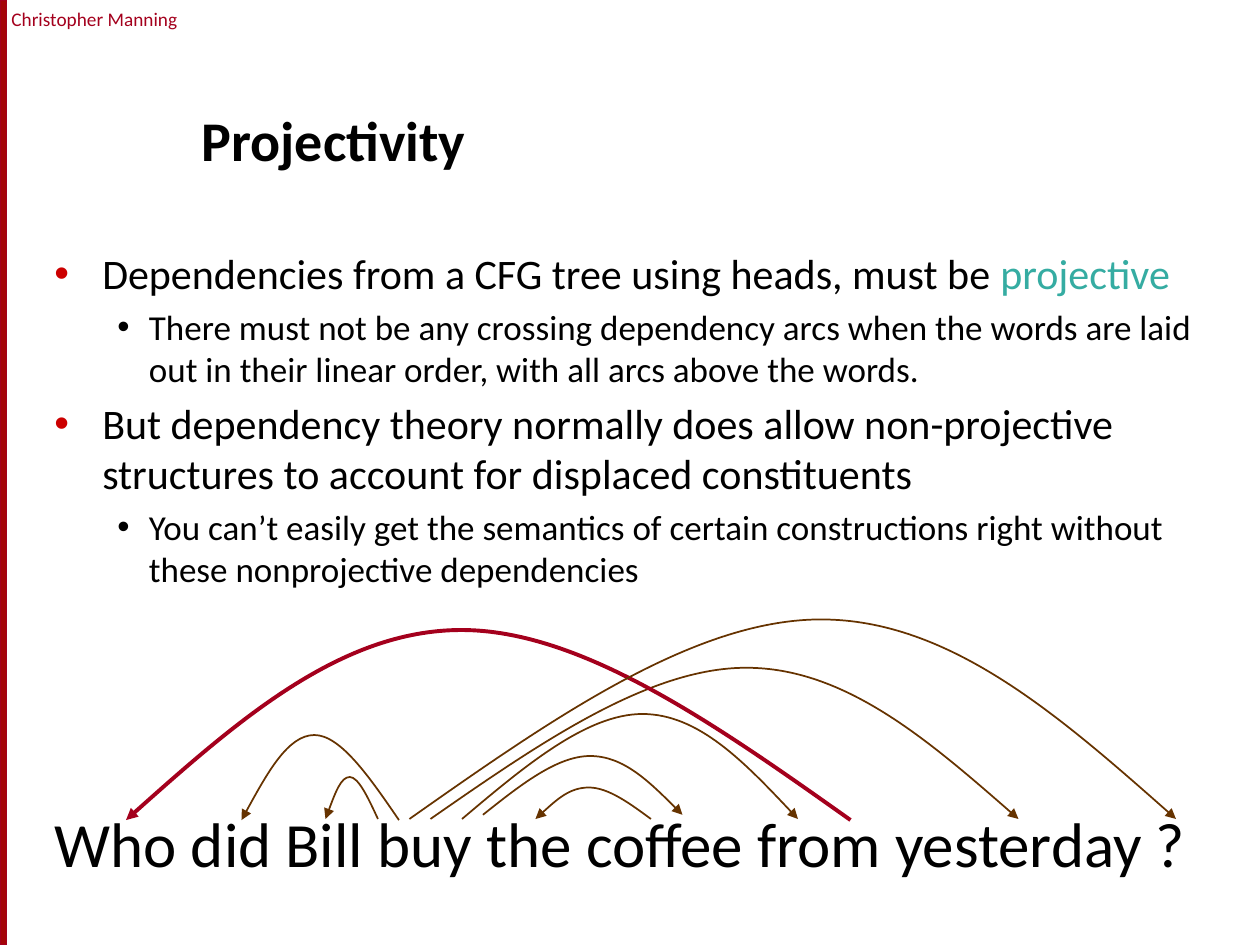
from dataclasses import dataclass
from lxml.etree import SubElement as Sub
from pptx import Presentation
from pptx.dml.color import RGBColor as Rgb
from pptx.enum.shapes import MSO_SHAPE as Kind
from pptx.enum.text import MSO_ANCHOR as Anchor, PP_ALIGN as Align
from pptx.oxml.ns import qn
from pptx.util import Inches, Pt

FONT = "Calibri"
RED, BROWN, TEAL, BLACK = "A4001D", "663300", "35ACA2", "000000"
# An arc: shares of its span and of its height, for start, controls and end
ACROSS = (0, 0.185, 0.371, 0.537, 0.704, 0.853, 1)
RISE = (0, 0.5, 1, 1, 1, 0.5, 0)


@dataclass
class Arc:
    head: float  # columns and rows of the grid
    dep: float
    top: float
    base: float = 78
    hue: str = BROWN
    width: float = 1


@dataclass
class Item:
    runs: tuple  # (text, colour) pairs
    level: int = 0


@dataclass
class Style:
    size: float
    indent: float
    hang: float
    dot: str


STYLES = (Style(24, 0.38, 0.38, "CC0000"), Style(20, 0.75, 0.25, BLACK))

ITEMS = (
    Item((("Dependencies from a CFG tree using heads, must be ", BLACK),
          ("projective", TEAL))),
    Item((("There must not be any crossing dependency arcs when the words are "
           "laid out in their linear order, with all arcs above the words.",
           BLACK),), 1),
    Item((("But dependency theory normally does allow non-projective "
           "structures to account for displaced constituents", BLACK),)),
    Item((("You can’t easily get the semantics of certain constructions right "
           "without these nonprojective dependencies", BLACK),), 1),
)

ARCS = (
    Arc(38, 23, 70, 78.1),
    Arc(36, 31, 74),
    Arc(41, 97, 63.6),
    Arc(62, 51, 75),
    Arc(44, 76, 68),
    Arc(46, 65, 72, 77.6),
    Arc(81, 12, 60, 78.1, RED, 2.25),
    Arc(39, 112, 59),
)


def cell(n: float) -> int:
    """Length of n grid cells, twelve to the inch."""
    return Inches(n / 12)


def tint(code: str) -> Rgb:
    return Rgb.from_string(code)


def put(obj, **vals) -> None:
    for name, val in vals.items():
        setattr(obj, name, val)


def add_box(slide, area: tuple, **vals):
    frame = slide.shapes.add_textbox(*map(cell, area)).text_frame
    put(frame, **{"word_wrap": True, **vals})
    return frame


def add_run(para, text: str, size: float, hue: str, bold: bool = False) -> None:
    run = para.add_run()
    run.text = text
    put(run.font, name=FONT, size=Pt(size), bold=bold)
    run.font.color.rgb = tint(hue)


def add_list(slide, area: tuple, items: tuple) -> None:
    frame = add_box(slide, area)
    for i, item in enumerate(items):
        para = frame.add_paragraph() if i else frame.paragraphs[0]
        style = STYLES[item.level]
        put(para, level=item.level, space_before=Pt(style.size / 5 if i else 0))
        props = para._p.get_or_add_pPr()
        props.set("marL", str(Inches(style.indent)))
        props.set("indent", str(-Inches(style.hang)))
        Sub(Sub(props, qn("a:buClr")), qn("a:srgbClr"), val=style.dot)
        Sub(props, qn("a:buFont"), typeface="Arial")
        Sub(props, qn("a:buChar"), char="•")
        for text, hue in item.runs:
            add_run(para, text, style.size, hue)


def add_arc(slide, arc: Arc) -> None:
    pts = [(cell(arc.head + (arc.dep - arc.head) * x),
            cell(arc.base + (arc.top - arc.base) * y))
           for x, y in zip(ACROSS, RISE)]
    form = slide.shapes.build_freeform(*pts[0], scale=1.0)
    form.add_line_segments(pts[1:], close=False)
    shape = form.convert_to_shape()
    # Each three straight steps become one Bezier curve
    steps = list(shape._element.iter(qn("a:lnTo")))
    track = steps[0].getparent()
    for i in range(0, len(steps), 3):
        curve = Sub(track, qn("a:cubicBezTo"))
        for step in steps[i:i + 3]:
            curve.append(step[0])
            track.remove(step)
    shape.shadow.inherit = False
    shape.fill.background()
    shape.line.color.rgb = tint(arc.hue)
    shape.line.width = Pt(arc.width)
    Sub(shape.line._get_or_add_ln(), qn("a:tailEnd"), type="triangle")


def main() -> None:
    deck = Presentation()
    put(deck, slide_width=Inches(10), slide_height=Inches(7.5))
    slide = deck.slides.add_slide(deck.slide_layouts[6])

    # Author name and side bar
    frame = add_box(slide, (0.5, 0.1, 17, 3.5), word_wrap=False,
                    margin_left=0, margin_right=0)
    frame.paragraphs[0].alignment = Align.CENTER
    add_run(frame.paragraphs[0], "Christopher Manning", 11, RED)
    bar = slide.shapes.add_shape(Kind.RECTANGLE, 0, 0, Inches(0.05),
                                 deck.slide_height)
    bar.shadow.inherit = False
    bar.fill.solid()
    bar.fill.fore_color.rgb = tint("A40508")
    bar.line.color.rgb = tint(RED)
    bar.line.width = Pt(0.75)

    # Bullets, sentence and title
    add_list(slide, (4, 23, 112, 32), ITEMS)
    frame = add_box(slide, (4, 76, 112, 11))
    add_run(frame.paragraphs[0],
            "Who did Bill buy the coffee from yesterday ?", 36, BLACK)
    frame = add_box(slide, (18, 4, 98, 13), vertical_anchor=Anchor.BOTTOM)
    add_run(frame.paragraphs[0], "Projectivity", 32, BLACK, True)

    # Dependency arcs
    for arc in ARCS:
        add_arc(slide, arc)
    deck.save("out.pptx")


if __name__ == "__main__":
    main()
